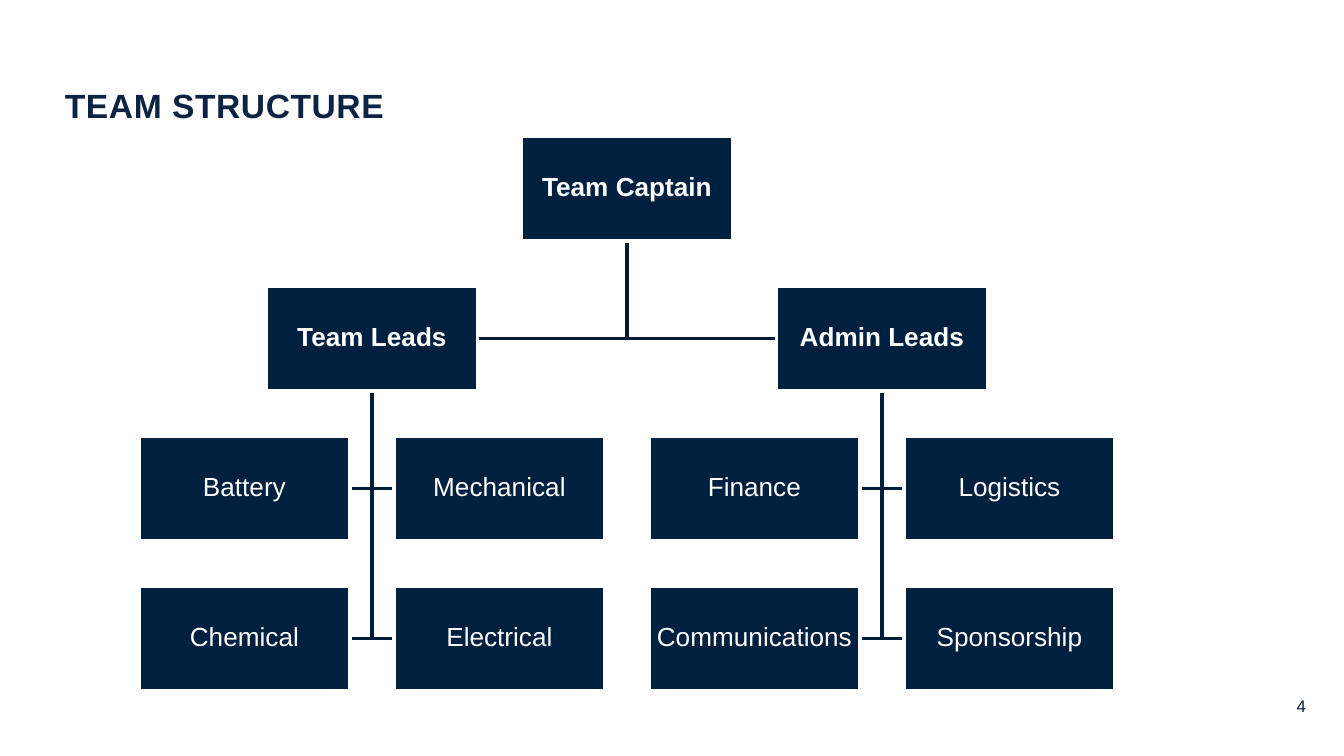
from pptx import Presentation
from pptx.dml.color import RGBColor
from pptx.enum.shapes import MSO_SHAPE
from pptx.enum.text import MSO_ANCHOR, PP_ALIGN
from pptx.util import Pt

TITLE = "TEAM STRUCTURE"
PAGE = "4"
ROLES = [
    ("Team Captain", 1.5, 0, None),
    ("Team Leads", 0.5, 1, "Team Captain"),
    ("Battery", 0, 2, "Team Leads"),
    ("Mechanical", 1, 2, "Team Leads"),
    ("Chemical", 0, 3, "Team Leads"),
    ("Electrical", 1, 3, "Team Leads"),
    ("Admin Leads", 2.5, 1, "Team Captain"),
    ("Finance", 2, 2, "Admin Leads"),
    ("Logistics", 3, 2, "Admin Leads"),
    ("Communications", 2, 3, "Admin Leads"),
    ("Sponsorship", 3, 3, "Admin Leads"),
]
COLORS = {"navy": "002040", "title": "0C2344", "white": "FFFFFF",
          "top_line": "001A33", "lead_line": "001D3A"}
FONT = "Arial"
SCALE = 914400 / 134.4
LEFT, TOP, COL_STEP, ROW_STEP = 139, 136, 255, 150
BOX_W, BOX_H = 211, 105


def px(n):
    return round(n * SCALE)


def color(name):
    return RGBColor.from_string(COLORS[name])


def write(sp, text, size, fill, bold=False, align=PP_ALIGN.LEFT,
          anchor=MSO_ANCHOR.MIDDLE, inset=0, spacing=None):
    tf = sp.text_frame
    tf.word_wrap = True
    tf.vertical_anchor = anchor
    tf.margin_left = tf.margin_right = tf.margin_top = tf.margin_bottom = px(inset)
    p = tf.paragraphs[0]
    p.text = text
    p.alignment = align
    p.line_spacing = spacing
    r = p.runs[0]
    r.font.name, r.font.size, r.font.bold = FONT, Pt(size), bold
    r.font.color.rgb = color(fill)
    return r


def corner(col, row):
    return LEFT + col * COL_STEP, TOP + row * ROW_STEP


def add_link(s, parent, child):
    x, y = corner(*parent)
    child_x, child_y = corner(*child)
    mid_x, bottom = x + BOX_W / 2, y + BOX_H
    side_x = child_x if child_x > x else child_x + BOX_W
    side_y = child_y + BOX_H / 2
    fb = s.shapes.build_freeform(px(mid_x), px(bottom))
    fb.add_line_segments([(px(mid_x), px(side_y)), (px(side_x), px(side_y))], close=False)
    sp = fb.convert_to_shape()
    sp.shadow.inherit = False
    sp.fill.background()
    sp.line.color.rgb = color("lead_line" if parent[1] else "top_line")
    sp.line.width = Pt(2)


def add_box(s, text, col, row):
    x, y = corner(col, row)
    sp = s.shapes.add_shape(MSO_SHAPE.RECTANGLE, px(x), px(y), px(BOX_W), px(BOX_H))
    sp.shadow.inherit = False
    sp.fill.solid()
    sp.fill.fore_color.rgb = color("navy")
    sp.line.color.rgb = color("white")
    sp.line.width = Pt(2)
    write(sp, text, 14, "white", row < 2, PP_ALIGN.CENTER, inset=1, spacing=0.9)


def main():
    prs = Presentation()
    prs.slide_width, prs.slide_height = px(1344), px(756)
    s = prs.slides.add_slide(prs.slide_layouts[6])

    page = s.shapes.add_textbox(px(1262), px(696), px(44), px(28))
    write(page, PAGE, 9, "navy", align=PP_ALIGN.RIGHT, anchor=MSO_ANCHOR.TOP)

    title = s.shapes.add_textbox(px(65), px(60), px(1126), px(92))
    r = write(title, TITLE, 18, "title", True, spacing=Pt(21))
    r.font._element.set("spc", "30")

    places = {name: (col, row) for name, col, row, boss in ROLES}
    for name, col, row, boss in ROLES:
        if boss:
            add_link(s, places[boss], (col, row))
    for name, col, row, boss in ROLES:
        add_box(s, name, col, row)

    prs.save("out.pptx")


if __name__ == "__main__":
    main()
